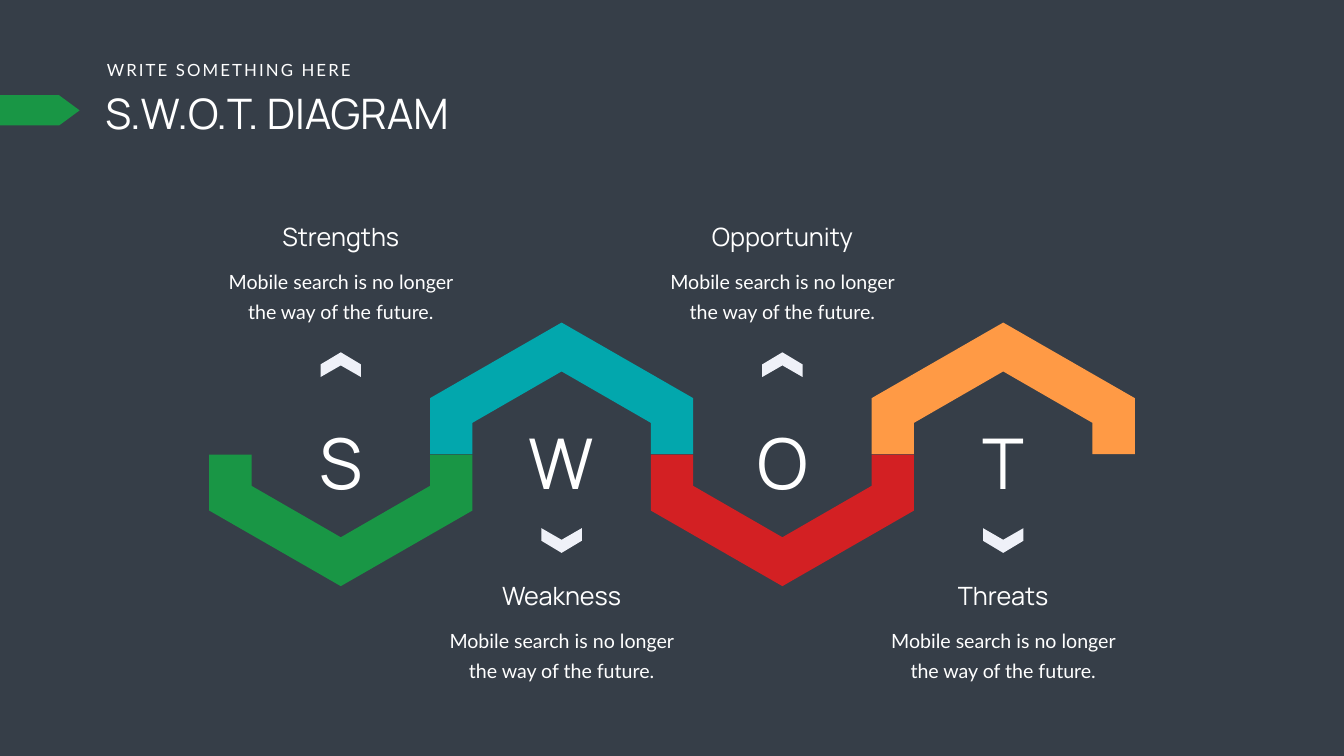
from pptx import Presentation
from pptx.dml.color import RGBColor
from pptx.enum.shapes import MSO_SHAPE as Shape
from pptx.enum.text import MSO_AUTO_SIZE as AutoSize, PP_ALIGN as Align
from pptx.util import Pt

EMU_PER_PX = 9144
SLATE = RGBColor(0x36, 0x3E, 0x48)
WHITE = RGBColor(0xFF, 0xFF, 0xFF)
PALE = RGBColor(0xEF, 0xF1, 0xF8)
GREEN = RGBColor(0x19, 0x96, 0x45)
TEAL = RGBColor(0x02, 0xA7, 0xAD)
RED = RGBColor(0xD3, 0x20, 0x23)
ORANGE = RGBColor(0xFF, 0x9A, 0x45)

BODY = "Mobile search is no longer the way of the future."
UP, DOWN = -1, 1
STEPS = [
    ("S", "Strengths", BODY, GREEN, DOWN),
    ("W", "Weakness", BODY, TEAL, UP),
    ("O", "Opportunity", BODY, RED, DOWN),
    ("T", "Threats", BODY, ORANGE, UP),
]
FIRST_CENTER, STEP = 676, 438
LAYOUT = {
    DOWN: {"band": 902, "tip": 699, "heading": 435, "body": 511},
    UP: {"band": 901, "tip": 1097, "heading": 1147, "body": 1222},
}
BAND_HALF = [(0, 261), (261, 111), (261, 0), (177, 0), (177, 62), (0, 164)]
CHEVRON_HALF = [(0, 0), (40, -24), (40, -49), (0, -26)]


def px(value):
    return round(value * EMU_PER_PX)


def paint(shape, color):
    shape.shadow.inherit = False
    shape.fill.solid()
    shape.fill.fore_color.rgb = color
    shape.line.fill.background()


def add_outline(page, half, center, base, direction, color):
    mirrored = [(-x, y) for x, y in reversed(half[1:-1])]
    points = [(center + x, base + direction * y) for x, y in half + mirrored]
    builder = page.shapes.build_freeform(*points[0], scale=EMU_PER_PX)
    builder.add_line_segments(points[1:], close=True)
    paint(builder.convert_to_shape(), color)


def add_text(page, text, area, size, face, align=Align.LEFT, wrap=True,
             inset=(10, 5), leading=None, tracking=None):
    box = page.shapes.add_textbox(*map(px, area))
    frame = box.text_frame
    frame.word_wrap = wrap
    frame.auto_size = AutoSize.SHAPE_TO_FIT_TEXT
    frame.margin_left = frame.margin_right = px(inset[0])
    frame.margin_top = frame.margin_bottom = px(inset[1])
    para = frame.paragraphs[0]
    para.alignment = align
    if leading:
        para.line_spacing = Pt(leading)
    span = para.add_run()
    span.text = text
    span.font.size = Pt(size)
    span.font.name = face
    span.font.color.rgb = WHITE
    if tracking:
        span._r.get_or_add_rPr().set("spc", str(tracking * 100))


def add_header(page):
    add_text(page, "S.W.O.T. DIAGRAM", (199, 168, 1606, 111), 60, "Manrope")
    add_text(page, "WRITE SOMETHING HERE", (202, 113, 514, 50), 24, "Lato",
             wrap=False, tracking=3)
    marker = page.shapes.add_shape(Shape.PENTAGON, *map(px, (0, 189, 158, 60)))
    marker.adjustments[0] = 0.68
    paint(marker, GREEN)


def add_step(page, center, letter, heading, body, color, direction):
    tops = LAYOUT[direction]
    add_outline(page, BAND_HALF, center, tops["band"], direction, color)
    add_outline(page, CHEVRON_HALF, center, tops["tip"], -direction, PALE)
    add_text(page, letter, (center - 111, 828, 222, 178), 100, "Manrope", Align.CENTER)
    add_text(page, heading, (center - 257, tops["heading"], 514, 71), 36, "Manrope",
             Align.CENTER)
    add_text(page, body, (center - 253, tops["body"], 506, 138), 28, "Lato",
             Align.CENTER, inset=(24, 12), leading=43)


def main():
    deck = Presentation()
    deck.slide_width, deck.slide_height = px(2666), px(1500)
    page = deck.slides.add_slide(deck.slide_layouts[6])
    page.background.fill.solid()
    page.background.fill.fore_color.rgb = SLATE
    add_header(page)
    for index, step in enumerate(STEPS):
        add_step(page, FIRST_CENTER + index * STEP, *step)
    deck.save("out.pptx")


if __name__ == "__main__":
    main()
